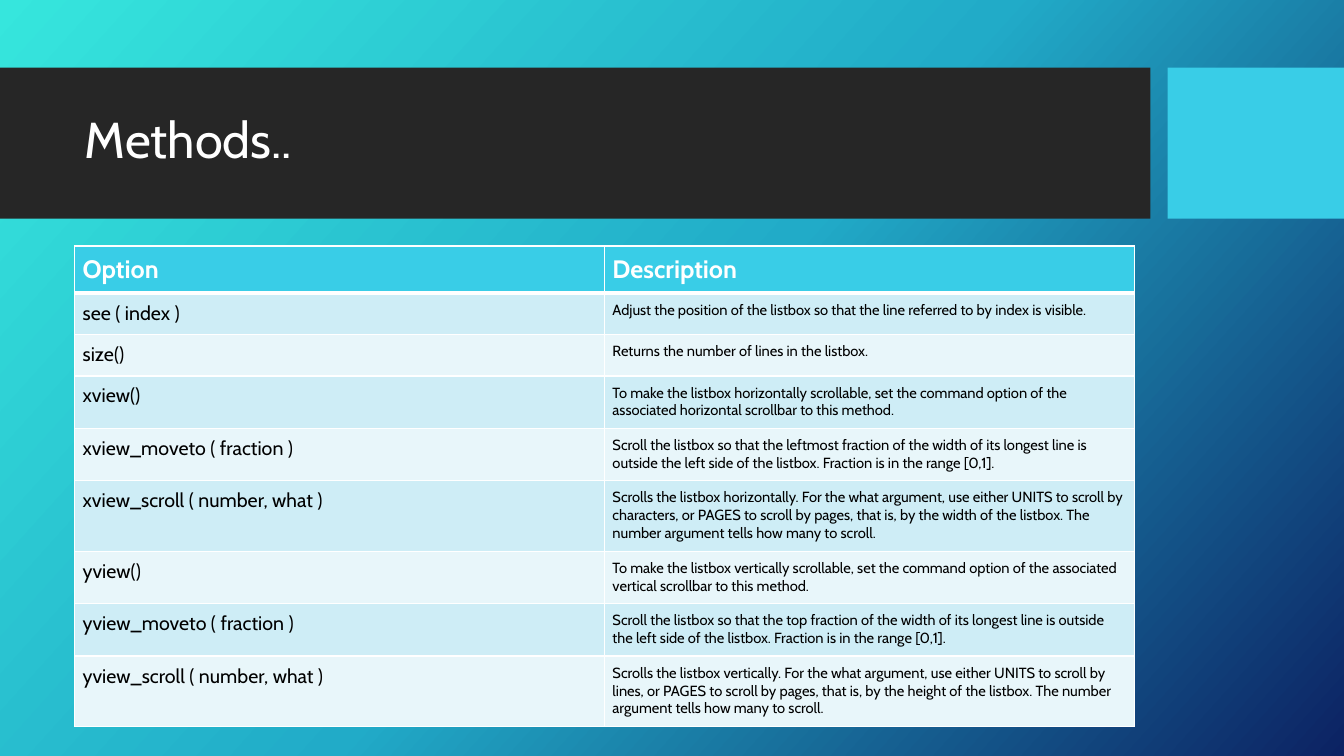
from copy import deepcopy

from lxml.etree import SubElement
from pptx import Presentation
from pptx.dml.color import RGBColor
from pptx.enum.shapes import MSO_SHAPE
from pptx.enum.text import MSO_ANCHOR, MSO_AUTO_SIZE, PP_ALIGN
from pptx.oxml.ns import qn
from pptx.util import Inches, Pt

TITLE = "Methods.."
HEADER = ("Option", "Description")
METHODS = [
    ("see ( index )",
     "Adjust the position of the listbox so that the line referred to by index is visible."),
    ("size()", "Returns the number of lines in the listbox."),
    ("xview()",
     "To make the listbox horizontally scrollable, set the command option of the "
     "associated horizontal scrollbar to this method."),
    ("xview_moveto ( fraction )",
     "Scroll the listbox so that the leftmost fraction of the width of its longest line is "
     "outside the left side of the listbox. Fraction is in the range [0,1]."),
    ("xview_scroll ( number, what )",
     "Scrolls the listbox horizontally. For the what argument, use either UNITS to scroll by "
     "characters, or PAGES to scroll by pages, that is, by the width of the listbox. The "
     "number argument tells how many to scroll."),
    ("yview()",
     "To make the listbox vertically scrollable, set the command option of the associated "
     "vertical scrollbar to this method."),
    ("yview_moveto ( fraction )",
     "Scroll the listbox so that the top fraction of the width of its longest line is outside "
     "the left side of the listbox. Fraction is in the range [0,1]."),
    ("yview_scroll ( number, what )",
     "Scrolls the listbox vertically. For the what argument, use either UNITS to scroll by "
     "lines, or PAGES to scroll by pages, that is, by the height of the listbox. The number "
     "argument tells how many to scroll."),
]
ROW_HEIGHTS = (0.47, 0.41, 0.41, 0.52, 0.52, 0.7, 0.52, 0.52, 0.7)

FONT = "Cabin"
WHITE = RGBColor(0xFF, 0xFF, 0xFF)
BLACK = RGBColor(0x00, 0x00, 0x00)
CHARCOAL = RGBColor(0x26, 0x26, 0x26)
CYAN = RGBColor(0x39, 0xCD, 0xE7)
ROW_TINTS = (RGBColor(0xCE, 0xED, 0xF6), RGBColor(0xE8, 0xF6, 0xFA))
GRADIENT = (RGBColor(0x36, 0xE6, 0xDD), RGBColor(0x21, 0xAB, 0xC8), RGBColor(0x0C, 0x22, 0x63))
GRADIENT_ANGLE = 42  # clockwise

LEFT, CONTENT_WIDTH = 0.74, 10.51
BANDS = [(0, 11.41, CHARCOAL), (11.58, 1.75, CYAN)]
BAND_TOP, BAND_HEIGHT = 0.67, 1.5


def paint_background(slide):
    fill = slide.background.fill
    fill.gradient()
    fill.gradient_angle = 360 - GRADIENT_ANGLE
    first_stop = fill._fill._gradFill.gsLst[0]
    first_stop.addnext(deepcopy(first_stop))
    for i, (stop, color) in enumerate(zip(fill.gradient_stops, GRADIENT)):
        stop.position = i / (len(GRADIENT) - 1)
        stop.color.rgb = color


def style_text(paragraph, **font_values):
    for key, value in font_values.items():
        if key == "color":
            paragraph.font.color.rgb = value
        else:
            setattr(paragraph.font, key, value)
    paragraph.font.name = FONT


def add_borders(cell, widths):
    """Draw white borders; widths maps side letters to points, in L, R, T, B order."""
    properties = cell._tc.get_or_add_tcPr()
    for i, (side, width) in enumerate(widths.items()):
        line = SubElement(properties, qn(f"a:ln{side}"), w=str(Pt(width)))
        SubElement(SubElement(line, qn("a:solidFill")), qn("a:srgbClr"), val=str(WHITE))
        properties.insert(i, line)


def add_methods_table(slide):
    rows = [HEADER, *METHODS]
    table = slide.shapes.add_table(
        len(rows), len(HEADER), Inches(LEFT), Inches(2.44),
        Inches(CONTENT_WIDTH), Inches(sum(ROW_HEIGHTS))).table
    for r, (texts, height) in enumerate(zip(rows, ROW_HEIGHTS)):
        table.rows[r].height = Inches(height)
        for c, text in enumerate(texts):
            cell = table.cell(r, c)
            cell.text = text
            for side in ("left", "right", "top", "bottom"):
                setattr(cell, f"margin_{side}", Inches(0.08))
            cell.fill.solid()
            cell.fill.fore_color.rgb = ROW_TINTS[(r - 1) % 2] if r else CYAN
            size = (14, 10.5)[c] if r else 18
            style_text(cell.text_frame.paragraphs[0], size=Pt(size), bold=r == 0,
                       color=BLACK if r else WHITE)
            add_borders(cell, {"L": 1, "R": 1, "T": 3 if r == 1 else 1, "B": 1 if r else 3})


def add_title(slide):
    for left, width, color in BANDS:
        band = slide.shapes.add_shape(MSO_SHAPE.RECTANGLE, Inches(left), Inches(BAND_TOP),
                                      Inches(width), Inches(BAND_HEIGHT))
        band.shadow.inherit = False
        band.fill.solid()
        band.fill.fore_color.rgb = color
        band.line.fill.background()
    title = slide.shapes.title
    slide.shapes._spTree.append(title._element)  # in front of the bands
    title.left, title.top = Inches(LEFT), Inches(0.82)
    title.width, title.height = Inches(CONTENT_WIDTH), Inches(1.18)
    frame = title.text_frame
    frame.text = TITLE
    frame.auto_size = MSO_AUTO_SIZE.NONE
    frame.vertical_anchor = MSO_ANCHOR.MIDDLE
    paragraph = frame.paragraphs[0]
    paragraph.alignment = PP_ALIGN.LEFT
    paragraph.line_spacing = 0.9
    style_text(paragraph, size=Pt(36), color=WHITE)


def main():
    deck = Presentation()
    deck.slide_width, deck.slide_height = Inches(13.33), Inches(7.5)
    slide = deck.slides.add_slide(deck.slide_layouts.get_by_name("Title Only"))
    paint_background(slide)
    add_title(slide)
    add_methods_table(slide)
    deck.save("out.pptx")


if __name__ == "__main__":
    main()
